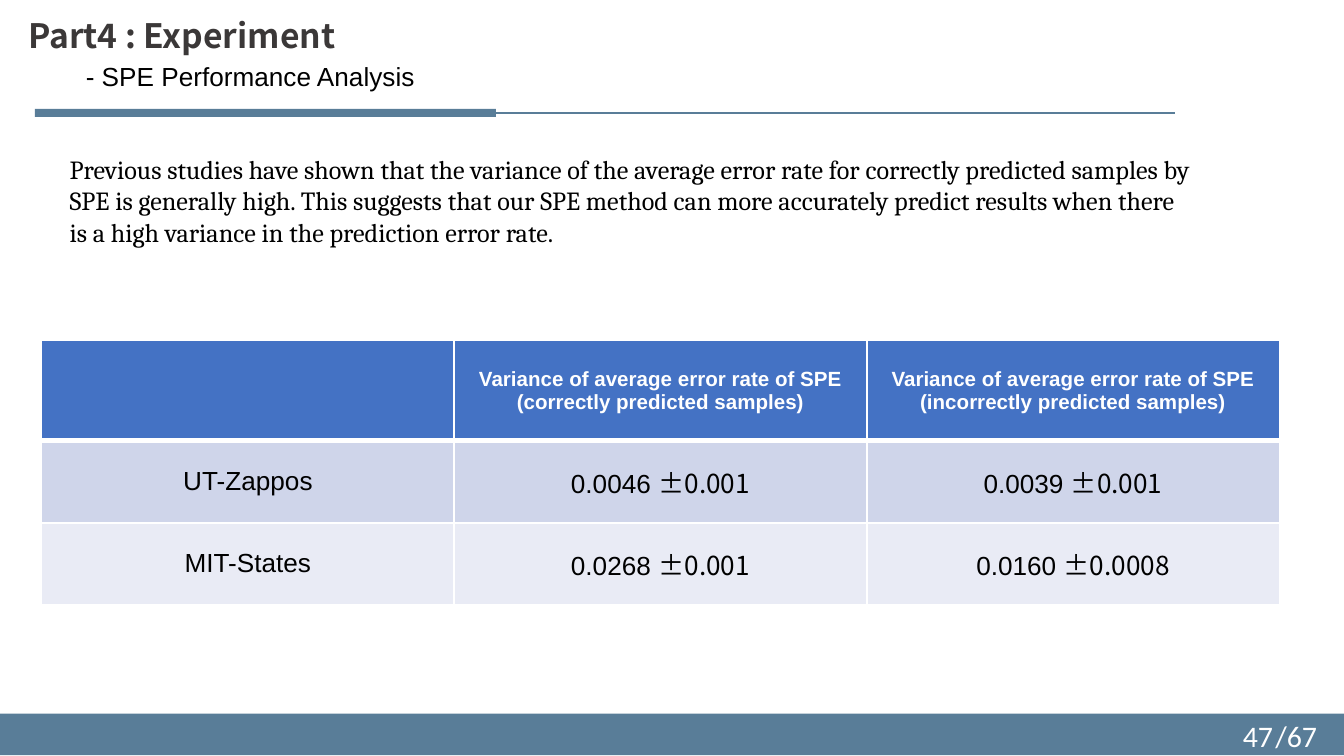
from dataclasses import dataclass

from lxml.etree import SubElement
from pptx import Presentation
from pptx.dml.color import RGBColor
from pptx.enum.shapes import MSO_CONNECTOR as Connector, MSO_SHAPE as Shape
from pptx.enum.text import MSO_ANCHOR as Anchor, MSO_AUTO_SIZE as AutoSize, PP_ALIGN as Align
from pptx.oxml.ns import qn
from pptx.util import Inches, Pt

STEEL, WHITE, BLACK = "597D98", "FFFFFF", "000000"
HEADER, BAND, LIGHT_BAND = "4472C4", "CFD5EA", "E9EBF5"
CJK = "Noto Sans CJK JP"


@dataclass
class Style:
    font: str
    size: int
    color: str
    bold: bool = False


@dataclass
class Label:
    text: str
    box: tuple[float, float, float, float]
    style: Style
    align: Align = Align.LEFT
    anchor: Anchor = Anchor.TOP
    grow: bool = False


@dataclass
class Row:
    height: float
    fill: str
    cells: list
    top: int = 1
    bottom: int = 1


BODY = Style("Arial", 14, BLACK)
DEVIATION = Style(CJK, 14, BLACK)
HEAD = Style("Arial", 11, WHITE, True)
PAGE = Style("Calibri", 16, WHITE)

TITLE = Label("Part4 : Experiment", (0.11, 0.06, 7.07, 0.4),
              Style("Noto Sans CJK SC", 18, "3B3838", True))
LABELS = [
    Label("- SPE Performance Analysis", (0.54, 0.4, 6.63, 0.34), BODY, grow=True),
    Label("Previous studies have shown that the variance of the average error rate for "
          "correctly predicted samples by SPE is generally high. This suggests that our SPE "
          "method can more accurately predict results when there is a high variance in the "
          "prediction error rate.",
          (0.42, 1.09, 8.57, 0.81), Style("Cambria", 14, BLACK), grow=True),
    Label("/67", (9.31, 5.32, 0.67, 0.3), PAGE, Align.CENTER, Anchor.MIDDLE),
    Label("47", (7.32, 5.32, 2.25, 0.3), PAGE, Align.RIGHT, Anchor.MIDDLE),
]


def heading(samples: str) -> list:
    return [[("Variance of average error rate of SPE", HEAD)], [(f"({samples})", HEAD)]]


def name(text: str) -> list:
    return [[(text, BODY)]]


def value(mean: str, deviation: str) -> list:
    return [[(f"{mean} ", BODY), (f"±{deviation}", DEVIATION)]]


ROWS = [
    Row(0.75, HEADER, [[], heading("correctly predicted samples"),
                       heading("incorrectly predicted samples")], bottom=3),
    Row(0.61, BAND, [name("UT-Zappos"), value("0.0046", "0.001"),
                     value("0.0039", "0.001")], top=3),
    Row(0.61, LIGHT_BAND, [name("MIT-States"), value("0.0268", "0.001"),
                           value("0.0160", "0.0008")]),
]


def rgb(color: str) -> RGBColor:
    return RGBColor.from_string(color)


def add_run(p, text: str, style: Style) -> None:
    r = p.add_run()
    r.text = text
    r.font.name = style.font
    r.font.size = Pt(style.size)
    r.font.bold = style.bold
    r.font.color.rgb = rgb(style.color)
    if "CJK" in style.font:
        SubElement(r.font._element, qn("a:ea"), typeface=style.font)


def write_label(sp, label: Label) -> None:
    sp.left, sp.top, sp.width, sp.height = map(Inches, label.box)
    tf = sp.text_frame
    tf.word_wrap = True
    tf.auto_size = AutoSize.SHAPE_TO_FIT_TEXT if label.grow else AutoSize.NONE
    tf.vertical_anchor = label.anchor
    p = tf.paragraphs[0]
    p.alignment = label.align
    add_run(p, label.text, label.style)


def add_bar(s, box: tuple[float, float, float, float]) -> None:
    sp = s.shapes.add_shape(Shape.RECTANGLE, *map(Inches, box))
    sp.shadow.inherit = False
    sp.fill.solid()
    sp.fill.fore_color.rgb = rgb(STEEL)
    sp.line.fill.background()


def add_rule(s, left: float, right: float, y: float) -> None:
    line = s.shapes.add_connector(Connector.STRAIGHT, *map(Inches, (left, y, right, y)))
    line.line.color.rgb = rgb(STEEL)
    line.line.width = Pt(0.75)
    SubElement(line._element.spPr, qn("a:effectLst"))


def add_border(cell, side: str, width: int) -> None:
    ln = SubElement(cell._tc.get_or_add_tcPr(), qn(f"a:ln{side}"), w=str(Pt(width)))
    SubElement(SubElement(ln, qn("a:solidFill")), qn("a:srgbClr"), val=WHITE)


def fill_cell(cell, row: Row, paragraphs: list) -> None:
    for side, width in (("L", 1), ("R", 1), ("T", row.top), ("B", row.bottom)):
        add_border(cell, side, width)
    cell.fill.solid()
    cell.fill.fore_color.rgb = rgb(row.fill)
    cell.vertical_anchor = Anchor.MIDDLE
    tf = cell.text_frame
    for i, runs in enumerate(paragraphs):
        p = tf.add_paragraph() if i else tf.paragraphs[0]
        p.alignment = Align.CENTER
        for text, style in runs:
            add_run(p, text, style)


def add_results(s, left: float, top: float, width: float) -> None:
    height = sum(row.height for row in ROWS)
    frame = s.shapes.add_table(len(ROWS), len(ROWS[0].cells),
                               *map(Inches, (left, top, width, height)))
    table = frame.table
    for i, row in enumerate(ROWS):
        table.rows[i].height = Inches(row.height)
        for j, paragraphs in enumerate(row.cells):
            fill_cell(table.cell(i, j), row, paragraphs)


def main() -> None:
    prs = Presentation()
    prs.slide_width = Inches(10)
    prs.slide_height = prs.slide_width * 9 // 16
    s = prs.slides.add_slide(prs.slide_layouts[5])
    write_label(s.shapes.title, TITLE)
    add_bar(s, (0, 5.31, 10, 0.31))
    add_rule(s, 0.27, 8.74, 0.84)
    add_bar(s, (0.26, 0.81, 3.43, 0.06))
    add_results(s, 0.31, 2.53, 9.21)
    for label in LABELS:
        write_label(s.shapes.add_textbox(0, 0, 0, 0), label)
    prs.save("out.pptx")


if __name__ == "__main__":
    main()
